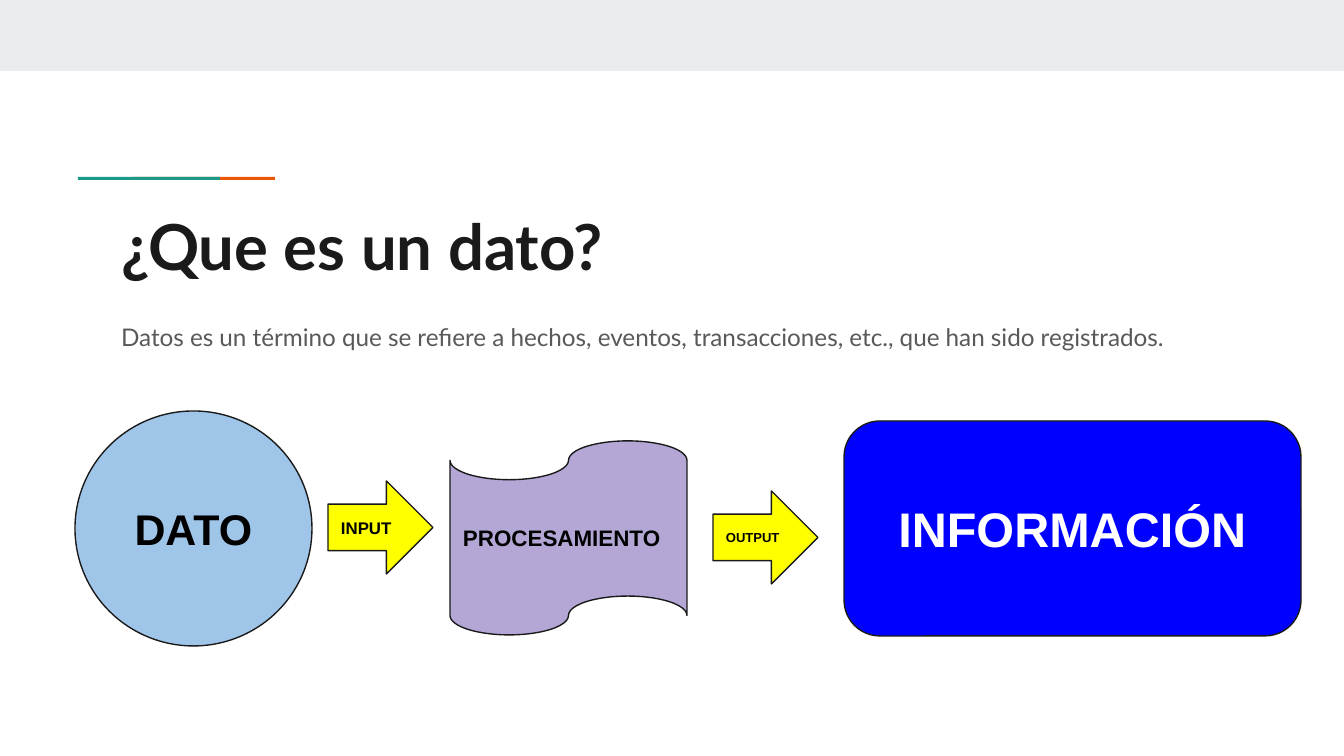
from dataclasses import dataclass

from lxml import etree
from pptx import Presentation
from pptx.dml.color import RGBColor
from pptx.enum.shapes import MSO_SHAPE
from pptx.enum.text import MSO_ANCHOR, MSO_AUTO_SIZE, PP_ALIGN
from pptx.oxml.ns import qn
from pptx.util import Emu, Pt

RECT, ROUND = MSO_SHAPE.RECTANGLE, MSO_SHAPE.ROUNDED_RECTANGLE
OVAL, ARROW, TAPE = MSO_SHAPE.OVAL, MSO_SHAPE.RIGHT_ARROW, MSO_SHAPE.FLOWCHART_PUNCHED_TAPE
LEFT, CENTER = PP_ALIGN.LEFT, PP_ALIGN.CENTER
TOP, MIDDLE = MSO_ANCHOR.TOP, MSO_ANCHOR.MIDDLE
FIXED = MSO_AUTO_SIZE.NONE
SCALE = 914400 / 134.4  # EMU in one px


@dataclass(frozen=True)
class Theme:
    head: str = "Lato"
    label: str = "Arial"
    ink: str = "1A1A1A"
    gray: str = "595959"
    black: str = "000000"
    white: str = "FFFFFF"
    band: str = "E9EDEE"
    teal: str = "1A9988"
    orange: str = "EB5600"
    sky: str = "9FC5E8"
    yellow: str = "FFFF00"
    lilac: str = "B4A7D6"
    blue: str = "0000FF"
    title: int = 34
    body: int = 13
    data: int = 23
    input: int = 9
    process: int = 12
    output: int = 7
    info: int = 26
    line: float = 0.75


THEME = Theme()


def px(num):
    return Emu(round(num * SCALE))


def apply(item, form):
    for name, value in form.items():
        setattr(item, name, value)


def place(shape, box):
    apply(shape, dict(zip(("left", "top", "width", "height"), map(px, box))))


def write(shape, text, font, color, align, anchor, para=None):
    """Fill the text frame with one formatted paragraph."""
    frame = shape.text_frame
    inset = px(13)
    apply(frame, {"word_wrap": True, "auto_size": FIXED, "vertical_anchor": anchor,
                  "margin_left": inset, "margin_right": inset,
                  "margin_top": inset, "margin_bottom": inset})
    line = frame.paragraphs[0]
    apply(line, {"alignment": align, **(para or {})})
    run = line.add_run()
    run.text = text
    apply(run.font, font)
    run.font.color.rgb = RGBColor.from_string(color)
    return line


def block(slide, kind, box, fill, edge=None):
    shape = slide.shapes.add_shape(kind, *map(px, box))
    shape.shadow.inherit = False
    shape.fill.solid()
    shape.fill.fore_color.rgb = RGBColor.from_string(fill)
    if edge:
        shape.line.color.rgb = RGBColor.from_string(edge)
        shape.line.width = Pt(THEME.line)
    else:
        shape.line.fill.background()
    return shape


def step(slide, kind, box, fill, text, size, color=THEME.black, align=LEFT):
    shape = block(slide, kind, box, fill, THEME.ink)
    font = {"name": THEME.label, "size": Pt(size), "bold": True}
    write(shape, text, font, color, align, MIDDLE)


def heading(slide):
    title = slide.shapes.title
    place(title, (108, 194, 1130, 79))
    font = {"name": THEME.head, "size": Pt(THEME.title), "bold": True}
    write(title, "¿Que es un dato?", font, THEME.ink, LEFT, TOP)


def body(slide):
    holder = slide.placeholders[1]
    place(holder, (108, 305, 1130, 332))
    font = {"name": THEME.head, "size": Pt(THEME.body)}
    para = {"line_spacing": 1.15, "space_before": Pt(0), "space_after": Pt(16)}
    text = ("Datos es un término que se refiere a hechos, eventos, "
            "transacciones, etc., que han sido registrados.")
    line = write(holder, text, font, THEME.gray, LEFT, TOP, para)
    props = line._p.get_or_add_pPr()
    props.set("marL", "0")
    props.set("indent", "0")
    etree.SubElement(props, qn("a:buNone"))


def main():
    deck = Presentation()
    apply(deck, {"slide_width": px(1344), "slide_height": px(756)})
    slide = deck.slides.add_slide(deck.slide_layouts[1])

    block(slide, RECT, (0, 0, 1344, 71), THEME.band)
    for left, color in ((133, THEME.orange), (78, THEME.teal)):
        block(slide, RECT, (left, 177, 142, 3), color)
    heading(slide)
    body(slide)

    step(slide, OVAL, (75, 411, 237, 235), THEME.sky, "DATO", THEME.data, align=CENTER)
    step(slide, ARROW, (328, 481, 105, 93), THEME.yellow, "INPUT", THEME.input)
    step(slide, TAPE, (450, 441, 237, 194), THEME.lilac, "PROCESAMIENTO", THEME.process)
    step(slide, ARROW, (713, 491, 105, 93), THEME.yellow, "OUTPUT", THEME.output)
    step(slide, ROUND, (844, 421, 457, 215), THEME.blue, "INFORMACIÓN", THEME.info,
         THEME.white, CENTER)
    deck.save("out.pptx")


if __name__ == "__main__":
    main()
